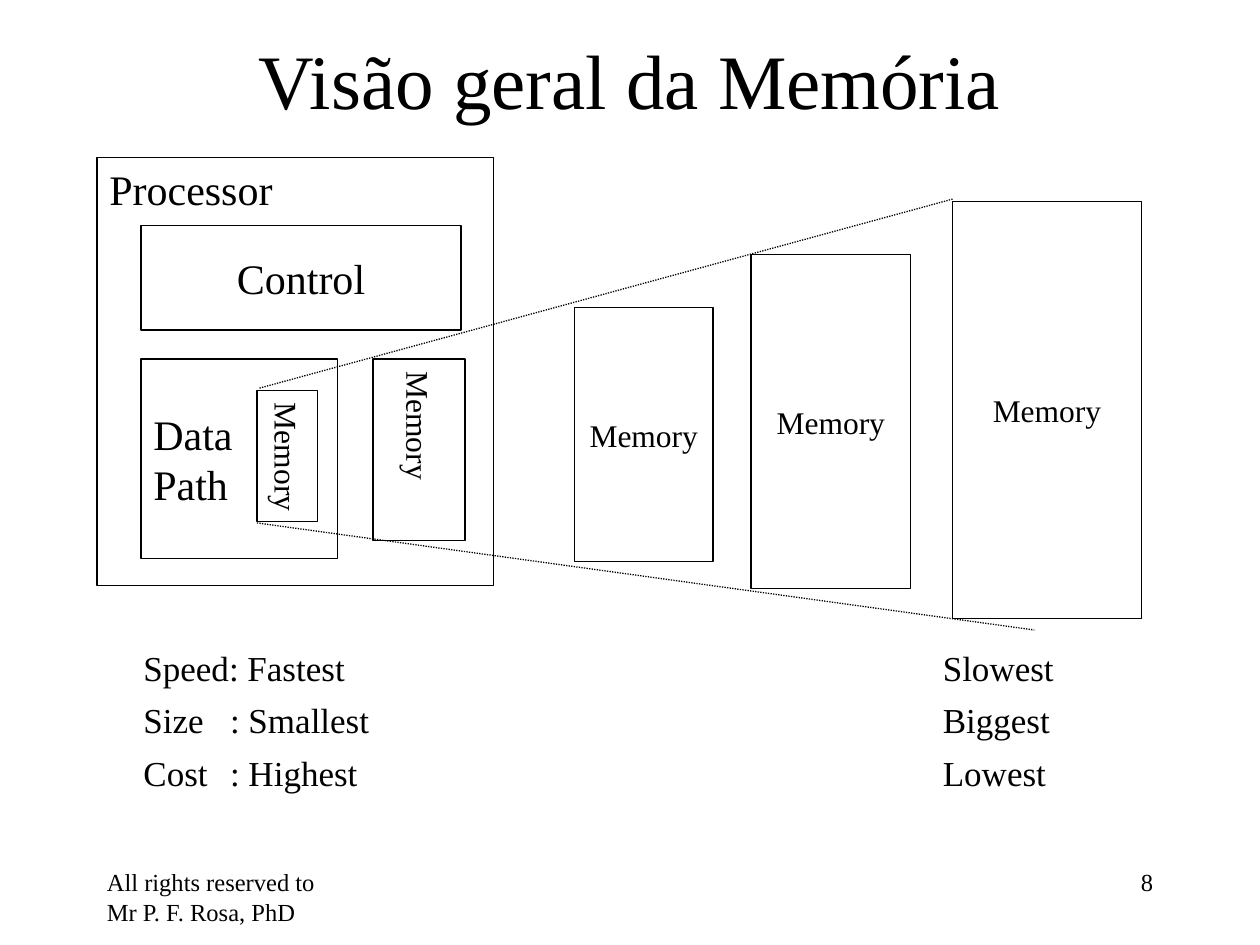
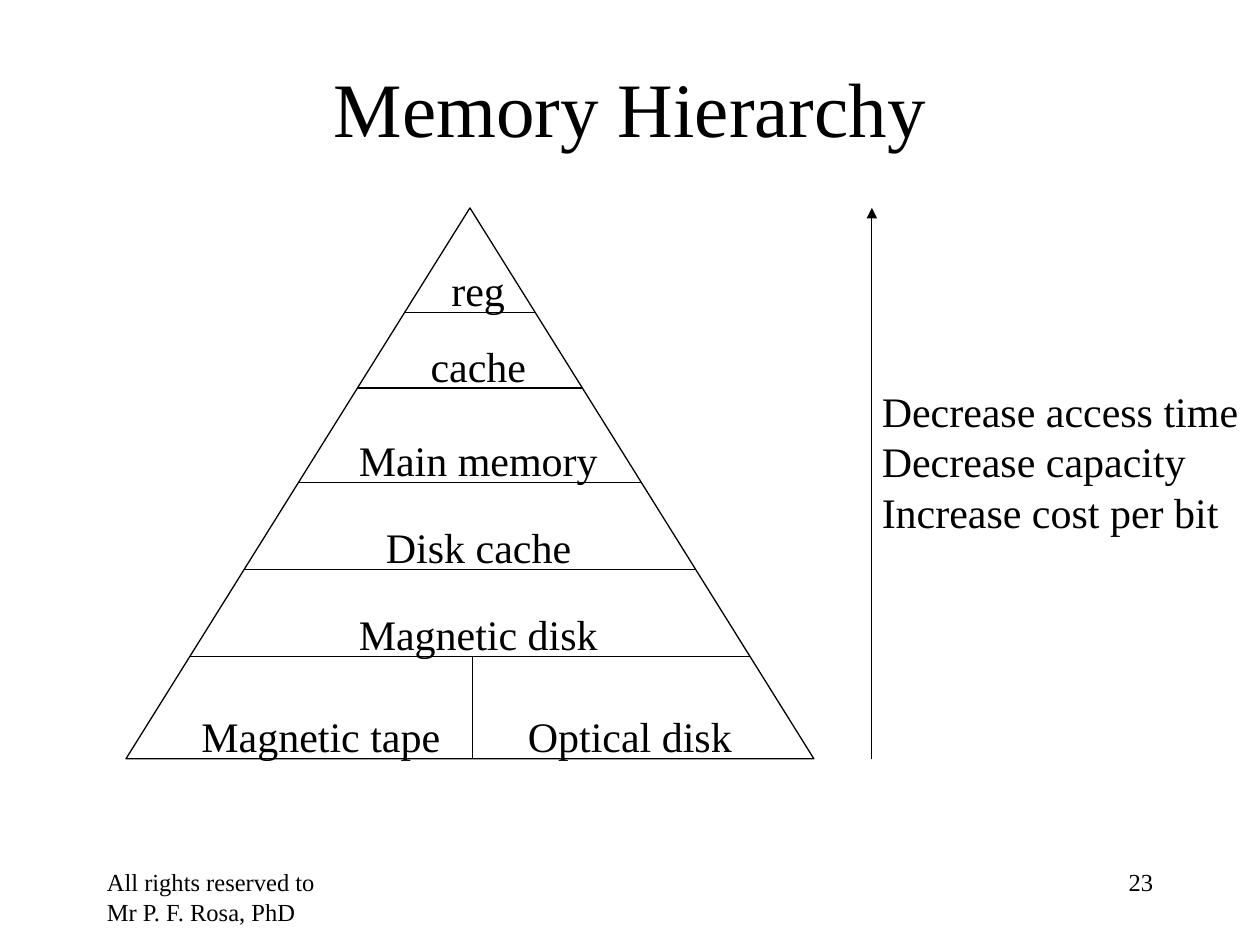
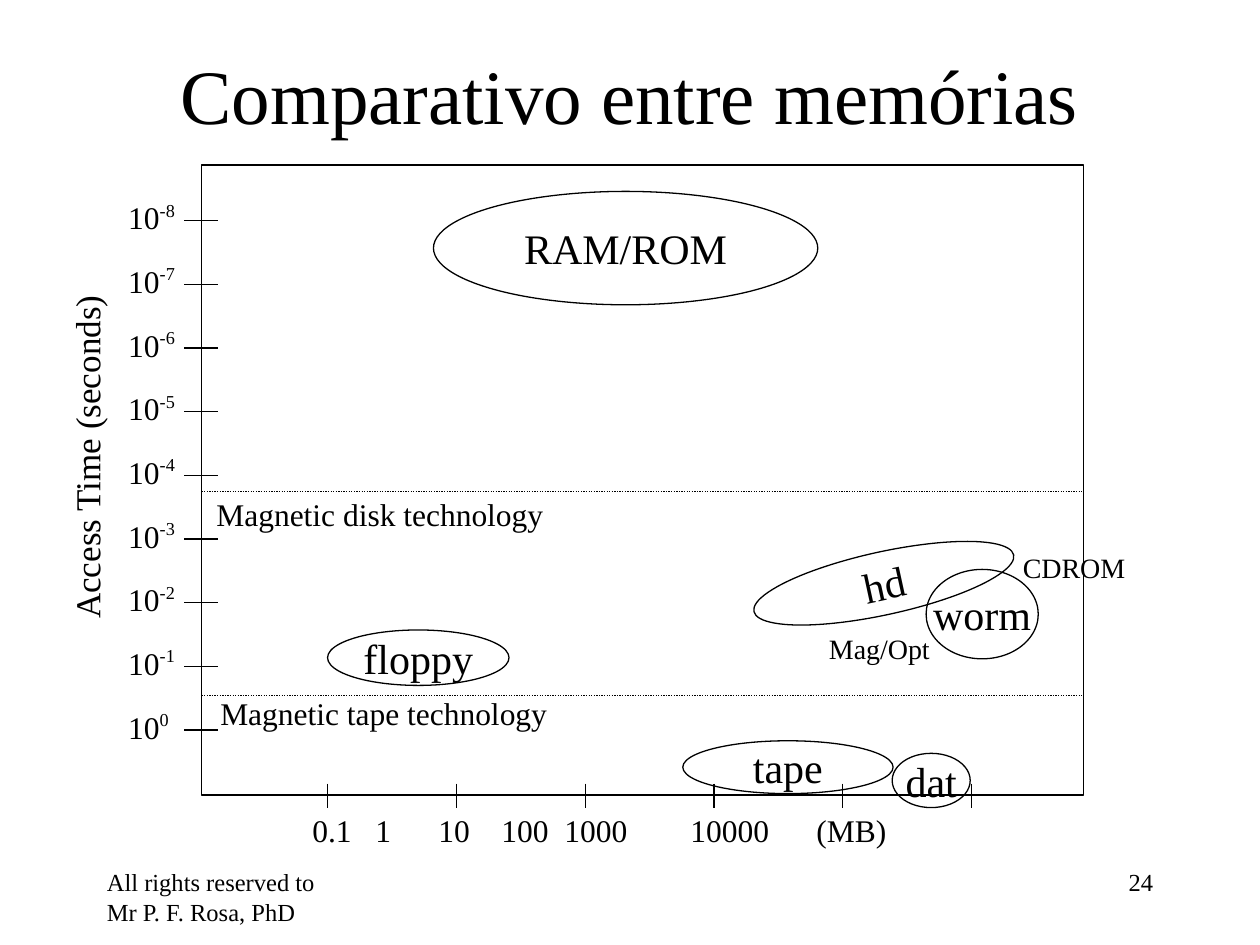
from dataclasses import dataclass

from lxml.etree import SubElement
from pptx import Presentation
from pptx.dml.color import RGBColor
from pptx.enum.dml import MSO_LINE
from pptx.enum.shapes import MSO_CONNECTOR, MSO_SHAPE
from pptx.enum.text import MSO_ANCHOR, MSO_AUTO_SIZE, PP_ALIGN
from pptx.oxml.ns import qn
from pptx.util import Pt


@dataclass(frozen=True)
class Theme:
    font: str = "Times New Roman"
    ink: RGBColor = RGBColor(0, 0, 0)
    line: float = 0.75
    title: int = 44
    large: int = 24
    medium: int = 20
    small: int = 18
    note: int = 16
    footer: int = 14


@dataclass(frozen=True)
class Box:
    x: float
    y: float
    w: float
    h: float

    def sub(self, x, y, w, h):
        return Box(self.x + x, self.y + y, w, h)

    def emu(self):
        return Pt(self.x), Pt(self.y), Pt(self.w), Pt(self.h)


THEME = Theme()


def style(p, size, align=PP_ALIGN.LEFT):
    p.alignment = align
    p.font.name = THEME.font
    p.font.size = Pt(size)
    p.font.color.rgb = THEME.ink


def write(sp, text, size, align=PP_ALIGN.LEFT, anchor=MSO_ANCHOR.TOP, wrap=False):
    tf = sp.text_frame
    tf.word_wrap = wrap
    tf.vertical_anchor = anchor
    tf.text = text
    for p in tf.paragraphs:
        style(p, size, align)


def set_tabs(p, stops):
    tabs = SubElement(p._p.get_or_add_pPr(), qn("a:tabLst"))
    for pos, align in stops:
        SubElement(tabs, qn("a:tab"), pos=str(Pt(pos)), algn=align)


def outline(sp):
    sp.shadow.inherit = False
    sp.fill.background()
    sp.line.color.rgb = THEME.ink
    sp.line.width = Pt(THEME.line)


def add_figure(shapes, kind, box, text="", size=THEME.large,
               align=PP_ALIGN.CENTER, anchor=MSO_ANCHOR.MIDDLE):
    sp = shapes.add_shape(kind, *box.emu())
    outline(sp)
    if text:
        write(sp, text, size, align, anchor)
    return sp


def add_label(shapes, box, text, size):
    sp = shapes.add_textbox(*box.emu())
    write(sp, text, size)
    sp.text_frame.auto_size = MSO_AUTO_SIZE.SHAPE_TO_FIT_TEXT
    return sp


def add_line(shapes, box, x1, y1, x2, y2, dotted=False, arrow=False):
    ends = box.x + x1, box.y + y1, box.x + x2, box.y + y2
    cxn = shapes.add_connector(MSO_CONNECTOR.STRAIGHT, *map(Pt, ends))
    cxn.line.color.rgb = THEME.ink
    cxn.line.width = Pt(THEME.line)
    if dotted:
        cxn.line.dash_style = MSO_LINE.ROUND_DOT
    if arrow:
        SubElement(cxn.line._get_or_add_ln(), qn("a:headEnd"), type="triangle")
    SubElement(cxn._element.spPr, qn("a:effectLst"))


def add_slide(prs, title, title_box, number):
    slide = prs.slides.add_slide(prs.slide_layouts[5])
    sp = slide.shapes.title
    sp.left, sp.top, sp.width, sp.height = title_box.emu()
    write(sp, title, THEME.title, PP_ALIGN.CENTER, MSO_ANCHOR.MIDDLE, True)
    for x, text, align in (
        (54, "All rights reserved to Mr P. F. Rosa, PhD", PP_ALIGN.LEFT),
        (516, str(number), PP_ALIGN.RIGHT),
    ):
        footer = slide.shapes.add_textbox(*Box(x, 492, 150, 36).emu())
        write(footer, text, THEME.footer, align, wrap=True)
    return slide


def add_memory_levels(slide, box):
    shapes = slide.shapes.add_group_shape().shapes
    rect = MSO_SHAPE.RECTANGLE
    add_figure(shapes, rect, box.sub(0, 0, 226.8, 244.8), "Processor",
               align=PP_ALIGN.LEFT, anchor=MSO_ANCHOR.TOP)
    add_figure(shapes, rect, box.sub(25.2, 38.9, 182.9, 59.8), "Control")
    add_figure(shapes, rect, box.sub(25.2, 115.2, 112.3, 113.8), "Data\nPath",
               align=PP_ALIGN.LEFT)
    for *place, vertical in (
        (91.4, 133.2, 34.6, 74.9, True),
        (157.7, 115.2, 52.6, 103.7, True),
        (272.9, 85.7, 79.2, 145.4, False),
        (373.7, 55.4, 91.4, 190.8, False),
        (488.9, 25.2, 108, 238.3, False),
    ):
        sp = add_figure(shapes, rect, box.sub(*place), "Memory", THEME.small)
        if vertical:
            sp.text_frame._txBody.bodyPr.set("vert", "eaVert")
    add_line(shapes, box, 92.9, 131.8, 488.9, 23.8, dotted=True)
    add_line(shapes, box, 91.4, 208.8, 535.7, 270, dotted=True)


def add_trade_offs(slide, box):
    sp = slide.shapes.add_textbox(*box.emu())
    lines = ("Speed: Fastest\tSlowest", "Size\t: Smallest\tBiggest",
             "Cost\t: Highest\tLowest")
    write(sp, "\n".join(lines), THEME.medium, wrap=True)
    for p in sp.text_frame.paragraphs:
        p._p.remove(p._p.get_or_add_pPr())
        set_tabs(p, ((49.5, "l"), (456.8, "l")))
        style(p, THEME.medium)
        p.space_before = Pt(6)


def add_pyramid(slide, box):
    shapes = slide.shapes.add_group_shape().shapes
    mid, bottom = box.x + box.w / 2, box.y + box.h
    builder = shapes.build_freeform(Pt(box.x), Pt(bottom))
    builder.add_line_segments(
        [(Pt(mid), Pt(box.y)), (Pt(box.x + box.w), Pt(bottom))])
    outline(builder.convert_to_shape())

    label_rise, label_shift = 31, 5
    levels = (
        (59.8, "reg", 45.4),
        (103, "cache", 69.1),
        (157, "Main memory", 151.2),
        (206.6, "Disk cache", 120.2),
        (256.3, "Magnetic disk", 151.2),
    )
    for y, text, w in levels:
        half = box.w / 2 * y / box.h
        add_line(shapes, box, box.w / 2 - half, y, box.w / 2 + half, y)
        x = box.w / 2 + label_shift - w / 2
        add_label(shapes, box.sub(x, y - label_rise, w, 36), text, THEME.large)
    add_line(shapes, box, 198, box.h, 198, levels[-1][0])
    for x, text, w in ((36, "Magnetic tape", 151.2), (222.5, "Optical disk", 131)):
        add_label(shapes, box.sub(x, box.h - label_rise, w, 36), text, THEME.large)


def add_trend(slide, box):
    add_line(slide.shapes, box, 1.4, 0, 1.4, box.h, arrow=True)
    add_label(slide.shapes, box.sub(0, 97.9, box.w, 93.6),
              "Decrease access time\nDecrease capacity\nIncrease cost per bit",
              THEME.large)


def add_time_axis(shapes, box):
    for i in range(9):
        y = 31.7 + 36.4 * i
        add_line(shapes, box, -10, y, 9.5, y)
        sp = add_label(shapes, box.sub(-49, y - 16.3, 42.5, 28.8), "10", THEME.small)
        r = sp.text_frame.paragraphs[0].add_run()
        r.text = str(i - 8)
        r.font._element.set("baseline", "40000")
    sp = add_label(shapes, box.sub(-165.6, 151.2, 199.4, 31),
                   "Access Time (seconds)", THEME.medium)
    sp.rotation = 270


def add_size_axis(shapes, box):
    for i in range(6):
        x = 72 + 73.6 * i
        add_line(shapes, box, x, 353.5, x, 367.2)
    sp = shapes.add_textbox(*box.sub(56.2, 365.8, 490, 28.8).emu())
    p = sp.text_frame.paragraphs[0]
    set_tabs(p, [(85 + 72.4 * i, "ctr") for i in range(6)])
    write(sp, "0.1\t1\t10\t100\t1000\t10000\t(MB)", THEME.small, wrap=True)


def add_comparison(slide, box):
    shapes = slide.shapes
    add_figure(shapes, MSO_SHAPE.RECTANGLE, box)
    add_time_axis(shapes, box)
    add_size_axis(shapes, box)
    for y in (186.5, 303.1):
        add_line(shapes, box, 0, y, box.w, y, dotted=True)
    for text, size, *place in (
        ("Magnetic disk technology", THEME.small, 1.4, 185, 201.6, 28.8),
        ("Magnetic tape technology", THEME.small, 3.6, 298.8, 201.6, 28.8),
        ("CDROM", THEME.note, 462.2, 216.7, 72.7, 26.6),
        ("Mag/Opt", THEME.note, 351.4, 262.8, 72.7, 26.6),
    ):
        add_label(shapes, box.sub(*place), text, size)
    for text, rotation, *place in (
        ("RAM/ROM", 0, 132.5, 15.1, 219.6, 64.8),
        ("floppy", 0, 72, 265.7, 103.7, 31.7),
        ("hd", 347.7, 313.9, 221, 151.9, 36),
        ("worm", 0, 414, 231.1, 64.1, 51.1),
        ("tape", 0, 275, 329, 120.2, 30.2),
        ("dat", 0, 394.6, 336.2, 44.6, 31),
    ):
        sp = add_figure(shapes, MSO_SHAPE.OVAL, box.sub(*place), text)
        sp.rotation = rotation


def main():
    prs = Presentation()
    prs.slide_width, prs.slide_height = Pt(720), Pt(540)

    slide = add_slide(prs, "Visão geral da Memória", Box(54, 0, 612, 90), 8)
    add_memory_levels(slide, Box(55.4, 90, 597, 270))
    add_trade_offs(slide, Box(74.9, 365.8, 580.3, 91.4))

    slide = add_slide(prs, "Memory Hierarchy", Box(54, 28.8, 612, 64.8), 23)
    add_pyramid(slide, Box(72, 118.8, 393.1, 314.8))
    add_trend(slide, Box(496.8, 118.8, 218.2, 314.8))

    slide = add_slide(prs, "Comparativo entre memórias", Box(54, 18, 612, 70.6), 24)
    add_comparison(slide, Box(115.2, 94.3, 504, 360))

    prs.save("out.pptx")


if __name__ == "__main__":
    main()
